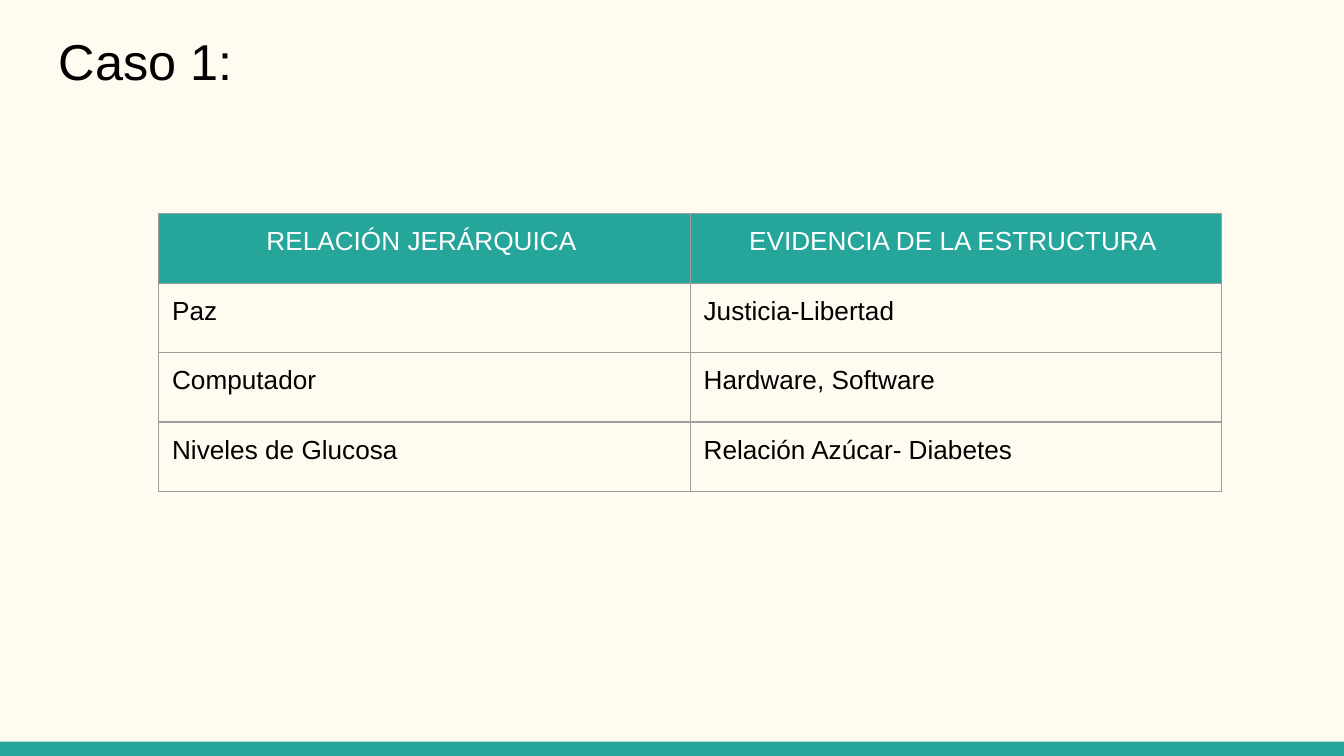
from lxml import etree
from pptx import Presentation
from pptx.dml.color import RGBColor
from pptx.enum import shapes, text
from pptx.oxml import ns
from pptx.util import Pt

CREAM = RGBColor(0xFF, 0xFB, 0xF0)
TEAL = RGBColor(0x26, 0xA6, 0x9A)
GRAY = RGBColor(0x9E, 0x9E, 0x9E)
BLACK = RGBColor(0, 0, 0)
WHITE = RGBColor(0xFF, 0xFF, 0xFF)
FONT = "Arial"
INSET = Pt(7.2)

ROWS = [
    ("RELACIÓN JERÁRQUICA ", "EVIDENCIA DE LA ESTRUCTURA "),
    ("Paz", "Justicia-Libertad"),
    ("Computador", "Hardware, Software"),
    ("Niveles de Glucosa", "Relación Azúcar- Diabetes"),
]


def write(tf, words, size, color, align=text.PP_ALIGN.LEFT):
    """Put one formatted paragraph in a text frame."""
    tf.text = words
    tf.word_wrap = True
    tf.margin_left = tf.margin_right = tf.margin_top = tf.margin_bottom = INSET
    p = tf.paragraphs[0]
    p.alignment = align
    font = p.runs[0].font
    font.name, font.size, font.bold = FONT, Pt(size), False
    font.color.rgb = color


def add_border(cell):
    """Draw a thin gray line on every side of a cell."""
    pr = cell._tc.get_or_add_tcPr()
    for i, side in enumerate(("lnL", "lnR", "lnT", "lnB")):
        ln = etree.Element(ns.qn(f"a:{side}"), w=str(Pt(0.75)))
        fill = etree.SubElement(ln, ns.qn("a:solidFill"))
        etree.SubElement(fill, ns.qn("a:srgbClr"), val=str(GRAY))
        pr.insert(i, ln)


def add_title(s, x, y, w, h):
    """Place the slide heading."""
    tf = s.shapes.add_textbox(x, y, w, h).text_frame
    write(tf, "Caso 1:", 27, BLACK)
    tf.vertical_anchor = text.MSO_ANCHOR.BOTTOM


def add_footer(s, x, y, w, h):
    """Place the teal band along the bottom edge."""
    sp = s.shapes.add_shape(shapes.MSO_SHAPE.RECTANGLE, x, y, w, h)
    sp.shadow.inherit = False
    sp.fill.solid()
    sp.fill.fore_color.rgb = TEAL
    sp.line.fill.background()


def add_relations(s, x, y, w, h):
    """Place the table of relations under a teal header row."""
    table = s.shapes.add_table(len(ROWS), len(ROWS[0]), x, y, w, h).table
    table.horz_banding = False
    table.first_row = False
    for i, row in enumerate(ROWS):
        for j, words in enumerate(row):
            cell = table.cell(i, j)
            cell.margin_left = cell.margin_right = INSET
            cell.margin_top = cell.margin_bottom = INSET
            if i == 0:
                write(cell.text_frame, words, 14, WHITE, text.PP_ALIGN.CENTER)
                cell.fill.solid()
                cell.fill.fore_color.rgb = TEAL
            else:
                write(cell.text_frame, words, 14, BLACK)
                cell.fill.background()
            add_border(cell)


def main():
    """Build and save the slide."""
    prs = Presentation()
    prs.slide_width, prs.slide_height = Pt(720), Pt(405)
    s = prs.slides.add_slide(prs.slide_layouts[6])
    s.background.fill.solid()
    s.background.fill.fore_color.rgb = CREAM
    add_footer(s, 0, Pt(397.4), prs.slide_width, Pt(7.6))
    add_title(s, Pt(24.5), Pt(8), Pt(132), Pt(48))
    add_relations(s, Pt(85), Pt(114.5), Pt(569.5), Pt(148.8))
    prs.save("out.pptx")


if __name__ == "__main__":
    main()
